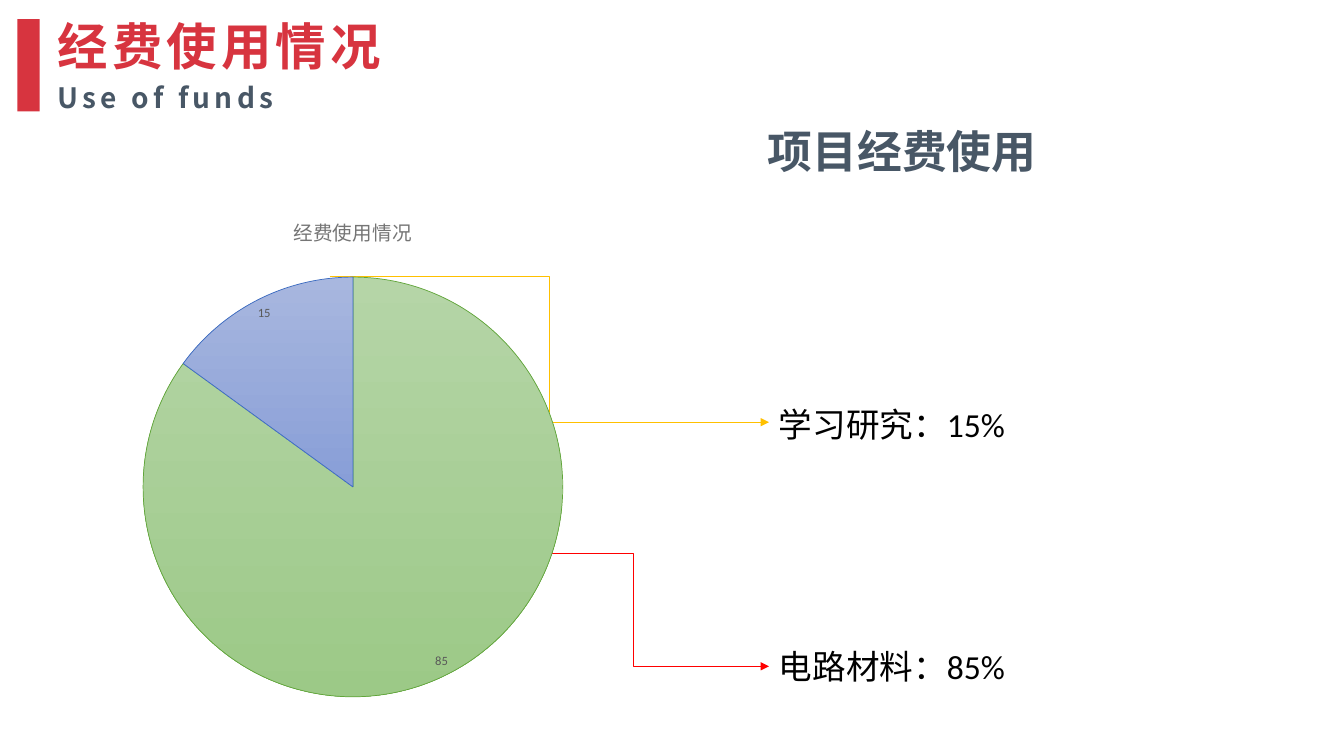
from lxml import etree
from pptx import Presentation
from pptx.chart.data import CategoryChartData
from pptx.dml.color import RGBColor
from pptx.enum import chart as charts, shapes, text
from pptx.oxml import parse_xml
from pptx.oxml.ns import qn
from pptx.util import Cm, Pt

RED = RGBColor(0xD7, 0x34, 0x3F)
SLATE = RGBColor(0x48, 0x57, 0x66)
BLACK = RGBColor(0, 0, 0)
GREY = RGBColor(0x59, 0x59, 0x59)
TITLE_GREY = RGBColor(0x75, 0x75, 0x75)
ARROW_YELLOW = RGBColor(0xFF, 0xC0, 0)
ARROW_RED = RGBColor(0xFF, 0, 0)
GREEN_SLICE = (RGBColor(0xB5, 0xD5, 0xA7), RGBColor(0x9C, 0xC9, 0x87), RGBColor(0x61, 0xA5, 0x3A))
BLUE_SLICE = (RGBColor(0xA8, 0xB7, 0xDF), RGBColor(0x88, 0x9E, 0xD7), RGBColor(0x3B, 0x6B, 0xC0))
CJK = "Noto Sans CJK SC"
LATIN = "Calibri"


def add_text(page, words, left, top, width, height, size, color,
             font=CJK, bold=True, spacing=0, align=text.PP_ALIGN.LEFT):
    box = page.shapes.add_textbox(Cm(left), Cm(top), Cm(width), Cm(height))
    frame = box.text_frame
    frame.word_wrap = True
    frame.vertical_anchor = text.MSO_ANCHOR.MIDDLE
    para = frame.paragraphs[0]
    para.text = words
    para.alignment = align
    style = para.font
    style.size = Pt(size)
    style.bold = bold
    style.name = font
    style.color.rgb = color
    properties = para._p.pPr.find(qn("a:defRPr"))
    properties.set("spc", str(spacing * 100))
    etree.SubElement(properties, qn("a:ea"), typeface=CJK)


def add_bar(page, left, top, width, height):
    bar = page.shapes.add_shape(shapes.MSO_SHAPE.RECTANGLE, Cm(left), Cm(top), Cm(width), Cm(height))
    bar.shadow.inherit = False
    bar.fill.solid()
    bar.fill.fore_color.rgb = RED
    bar.line.fill.background()


def add_arrow(page, start, end, color):
    arrow = page.shapes.add_connector(
        shapes.MSO_CONNECTOR.ELBOW, *(Cm(length) for length in start + end))
    arrow.line.color.rgb = color
    arrow.line.width = Pt(0.5)
    etree.SubElement(arrow.line._get_or_add_ln(), qn("a:tailEnd"), type="triangle")
    etree.SubElement(arrow._element.spPr, qn("a:effectLst"))


def paint_slice(point, top_color, bottom_color, edge):
    fill = point.format.fill
    fill.gradient()
    fill.gradient_angle = 270
    for stop, color in zip(fill.gradient_stops, (top_color, bottom_color)):
        stop.color.rgb = color
    point.format.line.color.rgb = edge
    point.format.line.width = Pt(0.5)


def place_plot(chart, **fractions):
    plot_area = chart._chartSpace.chart.plotArea
    for old in plot_area.findall(qn("c:layout")):
        plot_area.remove(old)
    namespace = "http://schemas.openxmlformats.org/drawingml/2006/chart"
    layout = parse_xml(f'<c:layout xmlns:c="{namespace}"><c:manualLayout/></c:layout>')
    values = {"layoutTarget": "inner", "xMode": "edge", "yMode": "edge", **fractions}
    for name, value in values.items():
        etree.SubElement(layout[0], qn(f"c:{name}"), val=str(value))
    plot_area.insert(0, layout)


def add_pie(page, left, top, width, height):
    data = CategoryChartData()
    data.categories = ["1", "2"]
    data.add_series("Series 1", (85, 15))
    chart = page.shapes.add_chart(
        charts.XL_CHART_TYPE.PIE, Cm(left), Cm(top), Cm(width), Cm(height), data).chart
    chart.has_legend = False
    chart.font.name = LATIN
    chart.font.size = Pt(10)
    chart.font.color.rgb = BLACK
    chart.has_title = True
    title = chart.chart_title
    title.include_in_layout = False
    para = title.text_frame.paragraphs[0]
    para.text = "经费使用情况"
    para.font.size = Pt(14)
    para.font.bold = False
    para.font.color.rgb = TITLE_GREY
    plot = chart.plots[0]
    plot.vary_by_categories = True
    for index, colors in enumerate((GREEN_SLICE, BLUE_SLICE)):
        paint_slice(plot.series[0].points[index], *colors)
    labels = plot.series[0].data_labels
    labels.show_value = True
    labels.show_percentage = False
    labels.position = charts.XL_LABEL_POSITION.BEST_FIT
    labels.font.name = LATIN
    labels.font.size = Pt(9)
    labels.font.color.rgb = GREY
    place_plot(chart, x=0.2, y=0.15, w=0.6, h=0.81)


def main():
    deck = Presentation()
    deck.slide_width, deck.slide_height = Cm(33.87), Cm(19.05)
    page = deck.slides.add_slide(deck.slide_layouts[6])
    add_text(page, "经费使用情况", 1.2, 0.25, 9.04, 1.8, 36, RED, spacing=3)
    add_text(page, "Use of funds", 1.2, 1.88, 8.3, 1.12, 20, SLATE, spacing=3)
    add_bar(page, 0.44, 0.48, 0.56, 2.33)
    add_text(page, "项目经费使用", 18.7, 2.97, 8.08, 1.63, 32, SLATE, align=text.PP_ALIGN.CENTER)
    for words, top in (("学习研究：15%", 9.98), ("电路材料：85%", 16.08)):
        add_text(page, words, 19.38, top, 11.86, 1.4, 24, BLACK, font=LATIN, bold=False)
    add_arrow(page, (8.31, 6.96), (19.38, 10.64), ARROW_YELLOW)
    add_arrow(page, (12.55, 13.94), (19.38, 16.79), ARROW_RED)
    add_pie(page, 0.08, 4.93, 17.63, 13.23)
    deck.save("out.pptx")


if __name__ == "__main__":
    main()
